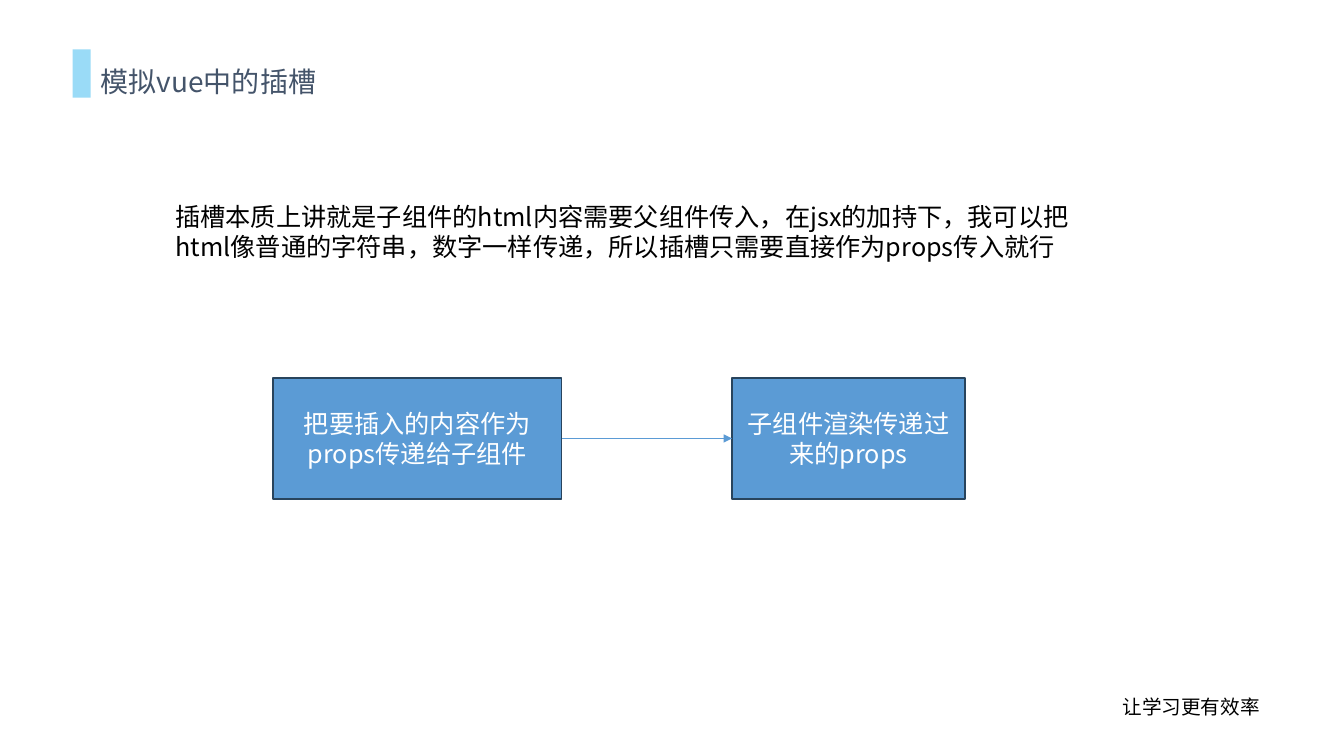
from lxml import etree
from pptx import Presentation
from pptx.dml.color import RGBColor
from pptx.enum.shapes import MSO_CONNECTOR, MSO_SHAPE
from pptx.enum.text import MSO_ANCHOR, PP_ALIGN
from pptx.oxml.ns import qn
from pptx.util import Inches, Pt

TITLE = "模拟vue中的插槽"
EXPLANATION = (
    "插槽本质上讲就是子组件的html内容需要父组件传入，在jsx的加持下，我可以把"
    "html像普通的字符串，数字一样传递，所以插槽只需要直接作为props传入就行"
)
STEPS = [
    ("把要插入的内容作为props传递给子组件", 2.86),
    ("子组件渲染传递过来的props", 2.31),
]
SLOGAN = "让学习更有效率"

FONT = "Noto Sans CJK SC"
BLACK = RGBColor(0x00, 0x00, 0x00)
WHITE = RGBColor(0xFF, 0xFF, 0xFF)
SLATE = RGBColor(0x44, 0x54, 0x6A)
SKY = RGBColor(0x9A, 0xDB, 0xF7)
BLUE = RGBColor(0x5B, 0x9B, 0xD5)
NAVY = RGBColor(0x28, 0x44, 0x5D)

LEFT, CENTER = PP_ALIGN.LEFT, PP_ALIGN.CENTER
TOP, MIDDLE = MSO_ANCHOR.TOP, MSO_ANCHOR.MIDDLE
RECTANGLE = MSO_SHAPE.RECTANGLE
STRAIGHT = MSO_CONNECTOR.STRAIGHT

SLIDE_WIDTH, SLIDE_HEIGHT = 13.33, 7.5
MARGIN = 0.72
MARKER_WIDTH = 0.18
STEP_LEFT, STEP_TOP = 2.71, SLIDE_HEIGHT / 2
STEP_HEIGHT, STEP_GAP = 1.2, 1.69


def write_text(shape, text, size=18, color=BLACK, align=LEFT, anchor=TOP, spacing=1.0):
    frame = shape.text_frame
    frame.word_wrap = True
    frame.vertical_anchor = anchor
    paragraph = frame.paragraphs[0]
    paragraph.alignment = align
    paragraph.line_spacing = spacing
    run = paragraph.add_run()
    run.text = text
    run.font.size = Pt(size)
    run.font.name = FONT
    run.font.color.rgb = color
    latin = run.font._element.find(qn("a:latin"))
    east_asian = etree.Element(qn("a:ea"), typeface=FONT)
    latin.addnext(east_asian)


def add_text(slide, text, left, top, width, height, **text_format):
    box = slide.shapes.add_textbox(Inches(left), Inches(top), Inches(width), Inches(height))
    write_text(box, text, **text_format)


def add_rectangle(slide, left, top, width, height, fill, outline=None):
    shape = slide.shapes.add_shape(
        RECTANGLE, Inches(left), Inches(top), Inches(width), Inches(height)
    )
    shape.shadow.inherit = False
    shape.fill.solid()
    shape.fill.fore_color.rgb = fill
    if outline is None:
        shape.line.fill.background()
    else:
        shape.line.color.rgb = outline
        shape.line.width = Pt(1)
    return shape


def add_arrow(slide, start, end):
    arrow = slide.shapes.add_connector(STRAIGHT, 0, 0, 0, 0)
    arrow.begin_connect(start, 3)
    arrow.end_connect(end, 1)
    arrow.line.color.rgb = BLUE
    arrow.line.width = Pt(0.5)
    etree.SubElement(arrow.line._get_or_add_ln(), qn("a:tailEnd"), type="triangle")
    etree.SubElement(arrow._element.spPr, qn("a:effectLst"))


def add_steps(slide):
    left, previous = STEP_LEFT, None
    for text, width in STEPS:
        step = add_rectangle(slide, left, STEP_TOP, width, STEP_HEIGHT, BLUE, NAVY)
        write_text(step, text, color=WHITE, align=CENTER, anchor=MIDDLE)
        if previous is not None:
            add_arrow(slide, previous, step)
        left, previous = left + width + STEP_GAP, step


def main():
    presentation = Presentation()
    presentation.slide_width = Inches(SLIDE_WIDTH)
    presentation.slide_height = Inches(SLIDE_HEIGHT)
    slide = presentation.slides.add_slide(presentation.slide_layouts[6])

    add_text(slide, SLOGAN, 9.76, 6.84, 4.11, 0.34, size=14, align=CENTER)
    add_text(
        slide, TITLE, MARGIN + MARKER_WIDTH, 0.42, 9.67, 0.55,
        size=20, color=SLATE, spacing=1.5,
    )
    add_rectangle(slide, MARGIN, 0.49, MARKER_WIDTH, 0.48, SKY)
    add_text(slide, EXPLANATION, 1.64, 1.95, 9.39, 0.71)
    add_steps(slide)

    presentation.save("out.pptx")


if __name__ == "__main__":
    main()
